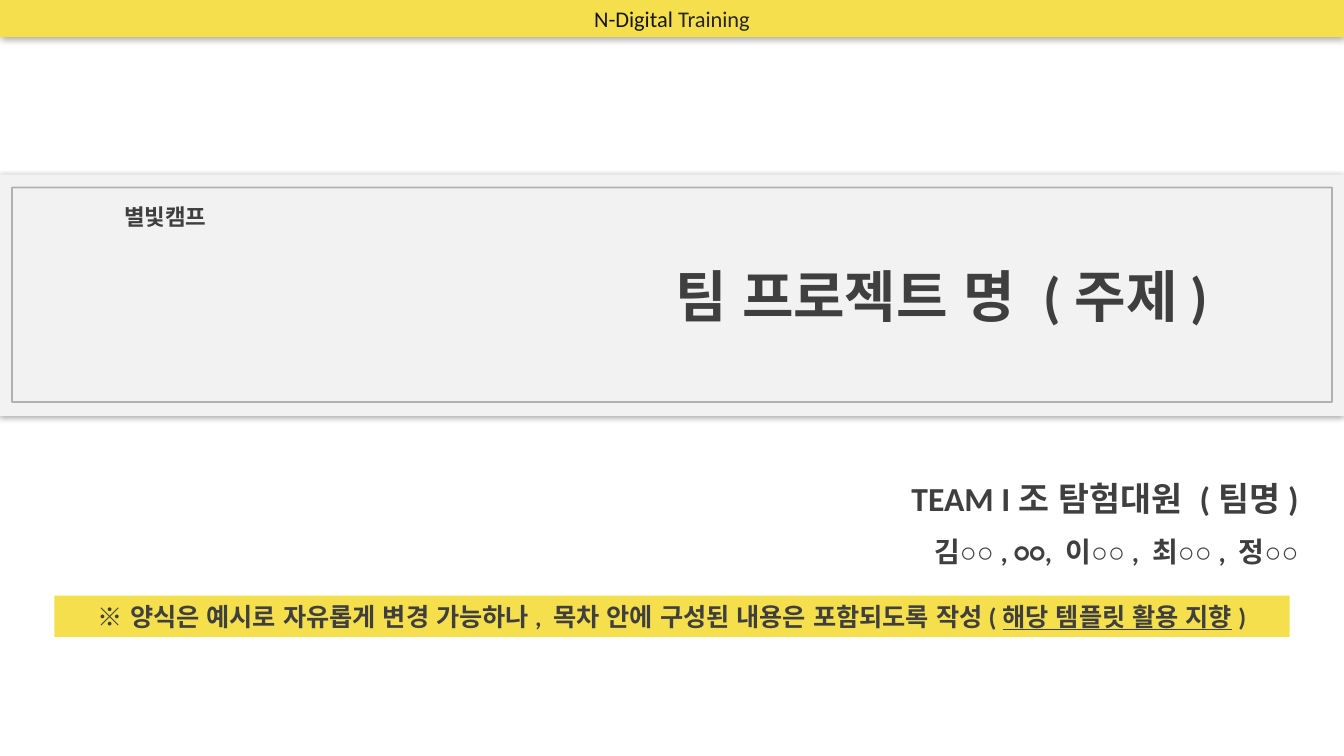
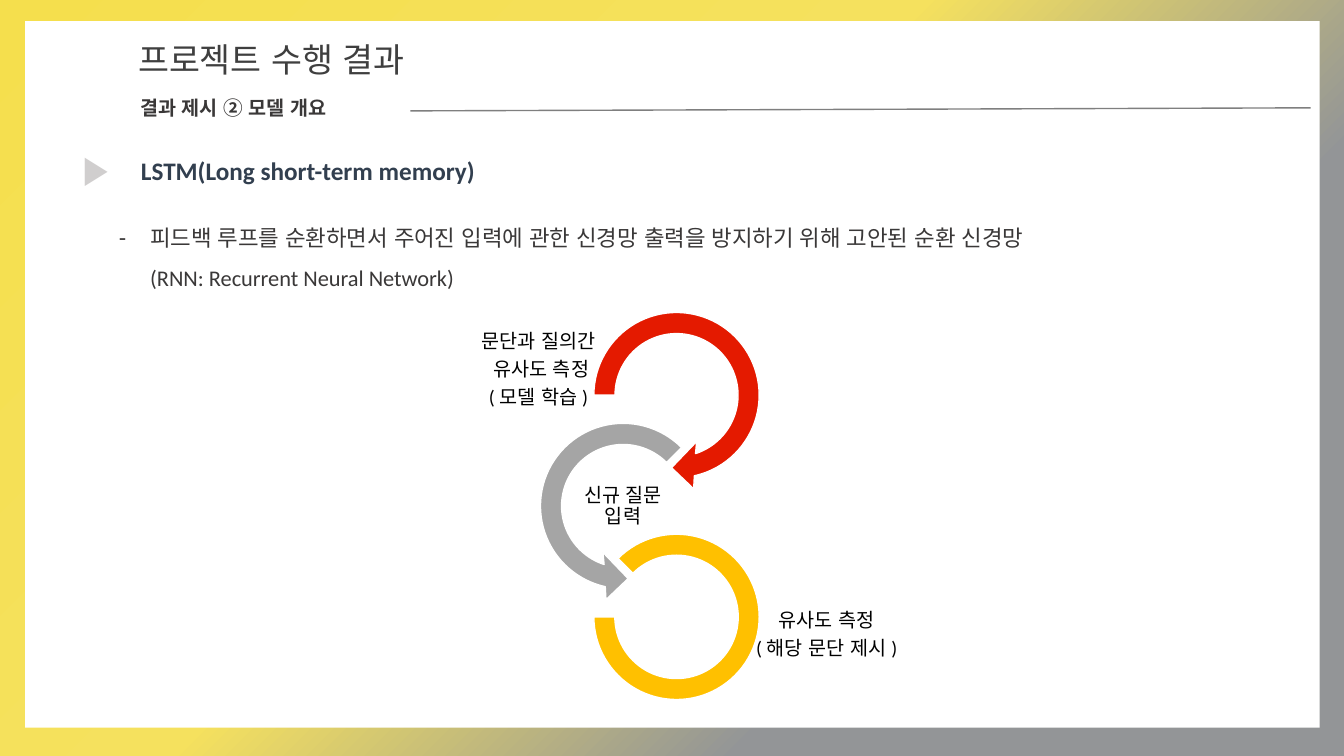
from collections import namedtuple
from math import cos, radians, sin

from lxml.etree import SubElement
from pptx import Presentation
from pptx.dml.color import RGBColor
from pptx.enum.shapes import MSO_CONNECTOR, MSO_SHAPE
from pptx.enum.text import MSO_ANCHOR, MSO_AUTO_SIZE, PP_ALIGN
from pptx.oxml.ns import qn
from pptx.util import Inches, Pt

Box = namedtuple("Box", "left top width height")

COLORS = {
    "yellow": "F5DF4D",
    "pale_yellow": "F5E15E",
    "gray": "939597",
    "band": "F2F2F2",
    "white": "FFFFFF",
    "black": "000000",
    "text": "3F3F3F",
    "body": "3A3838",
    "heading": "323F4F",
    "program": "171616",
    "training": "262626",
    "marker": "D0CECE",
    "rule": "7F7F7F",
    "red": "E41A00",
    "silver": "A5A5A5",
    "gold": "FFC000",
}
KOREAN_FONT = "Noto Sans CJK KR"
EAST_ASIAN_FONTS = {"Calibri": "Arial", "Arial": "Arial", KOREAN_FONT: KOREAN_FONT}
PAGE = Box(0, 0, 13.33, 7.5)
RING_RADIUS = 0.82
RING_THICKNESS = 0.21
ARROW_REACH = 0.955
ARROW_HEAD = [(0.17, 0.93), (-0.05, 0.72), (0.2, 0.46)]


def rgb(color):
    return RGBColor.from_string(COLORS[color])


def inside(box, left, top, width, height):
    return Box(box.left + left, box.top + top, width, height)


def lengths(box):
    return [Inches(value) for value in box]


def set_alpha(color_element, percent):
    SubElement(color_element, qn("a:alpha"), val=str(percent * 1000))


def write(shape, *paragraphs, size=14, color="text", font="Calibri", bold=False,
          align=PP_ALIGN.LEFT, anchor=MSO_ANCHOR.TOP, spacing=1.0, before=0,
          margins=(0.1, 0.05)):
    frame = shape.text_frame
    frame.word_wrap = True
    frame.auto_size = MSO_AUTO_SIZE.NONE
    frame.vertical_anchor = anchor
    frame.margin_left = frame.margin_right = Inches(margins[0])
    frame.margin_top = frame.margin_bottom = Inches(margins[1])
    for index, runs in enumerate(paragraphs):
        paragraph = frame.add_paragraph() if index else frame.paragraphs[0]
        paragraph.alignment = align
        paragraph.line_spacing = spacing
        paragraph.space_before = Pt(before if index else 0)
        for text, style in [(runs, {})] if isinstance(runs, str) else runs:
            run = paragraph.add_run()
            run.text = text
            run.font.name = font
            run.font.size = Pt(style.get("size", size))
            run.font.bold = bold
            run.font.underline = style.get("underline", False)
            run.font.color.rgb = rgb(style.get("color", color))
            SubElement(run.font._element, qn("a:ea"), typeface=EAST_ASIAN_FONTS[font])
    return shape


def text_box(slide, box, *paragraphs, **style):
    return write(slide.shapes.add_textbox(*lengths(box)), *paragraphs, **style)


def fill_placeholder(placeholder, box, *paragraphs, **style):
    placeholder.left, placeholder.top, placeholder.width, placeholder.height = lengths(box)
    placeholder.element.getparent().append(placeholder.element)
    return write(placeholder, *paragraphs, **style)


def paint(shape, fill=None, line=None, width=1):
    shape.shadow.inherit = False
    if fill:
        shape.fill.solid()
        shape.fill.fore_color.rgb = rgb(fill)
    else:
        shape.fill.background()
    if line:
        shape.line.color.rgb = rgb(line)
        shape.line.width = Pt(width)
    else:
        shape.line.fill.background()
    return shape


def rectangle(slide, box, **style):
    return paint(slide.shapes.add_shape(MSO_SHAPE.RECTANGLE, *lengths(box)), **style)


def band(slide, box, fill):
    shape = rectangle(slide, box, fill=fill)
    effects = shape.element.spPr.find(qn("a:effectLst"))
    shadow = SubElement(effects, qn("a:outerShdw"), blurRad=str(Pt(5)), dist="0", dir="0")
    set_alpha(SubElement(shadow, qn("a:srgbClr"), val=COLORS["black"]), 40)
    return shape


def program_bar(slide, box):
    write(band(slide, box, "yellow"),
          [("N-Digital ", {"color": "program"}), ("Training", {"color": "training"})],
          size=16, align=PP_ALIGN.CENTER, anchor=MSO_ANCHOR.MIDDLE)


def title_band(slide, box):
    band(slide, box, "band")
    inset = 0.12
    outline = rectangle(slide, inside(box, inset, inset + 0.01, box.width - 2 * inset, 2.13),
                        line="gray", width=1.25)
    set_alpha(outline.element.spPr.find(".//" + qn("a:ln") + "//" + qn("a:srgbClr")), 70)
    text_box(slide, inside(box, 0.2, 0.24, 2.88, 0.37), "별빛캠프", size=16,
             font=KOREAN_FONT, bold=True, align=PP_ALIGN.CENTER)
    fill_placeholder(slide.shapes.title, inside(box, 5.64, 0.86, 7.4, 0.67),
                     "팀 프로젝트 명 (주제)", size=40, bold=True,
                     align=PP_ALIGN.CENTER, margins=(0.1, 0))


def team_block(slide, box):
    fill_placeholder(slide.placeholders[1], box,
                     [("TEAM I조 탐험대원 (팀명)", {"size": 24})],
                     "김○○, ○○, 이○○, 최○○, 정○○",
                     size=20, bold=True, align=PP_ALIGN.RIGHT, spacing=1.5, margins=(0.1, 0))


def format_notice(slide, box):
    write(rectangle(slide, box, fill="yellow"),
          [("※ 양식은 예시로 자유롭게 변경 가능하나, 목차 안에 구성된 내용은 포함되도록 작성(", {}),
           ("해당 템플릿 활용 지향", {"underline": True}), (")", {})],
          size=18, bold=True, align=PP_ALIGN.CENTER, anchor=MSO_ANCHOR.MIDDLE)


def cover_slide(deck, page):
    slide = deck.slides.add_slide(deck.slide_layouts[0])
    program_bar(slide, inside(page, 0, 0, page.width, 0.37))
    title_band(slide, inside(page, 0, 1.73, page.width, 2.4))
    team_block(slide, inside(page, 7.34, 4.54, 5.64, 0.94))
    format_notice(slide, inside(page, 0.54, 5.91, 12.25, 0.41))


def gradient_background(slide):
    slide.background.fill.gradient()
    gradient = slide.element.find(".//" + qn("a:gradFill"))
    stops = gradient.find(qn("a:gsLst"))
    for stop in list(stops):
        stops.remove(stop)
    for position, color, alpha in [(0, "yellow", 100), (44, "pale_yellow", 70),
                                   (71, "gray", 70), (100, "gray", 100)]:
        stop = SubElement(stops, qn("a:gs"), pos=str(position * 1000))
        set_alpha(SubElement(stop, qn("a:srgbClr"), val=COLORS[color]), alpha)
    gradient.find(qn("a:lin")).set("ang", str(45 * 60000))


def page_header(slide, box):
    fill_placeholder(slide.shapes.title, inside(box, 0, 0, 3.23, 0.5),
                     "프로젝트 수행 결과", size=24, font="Arial")
    text_box(slide, inside(box, 0.02, 0.56, 3.05, 0.34), "결과 제시 ② 모델 개요",
             color="body", bold=True)
    rule = slide.shapes.add_connector(
        MSO_CONNECTOR.STRAIGHT, Inches(box.left + 2.8), Inches(box.top + 0.76),
        Inches(box.left + box.width), Inches(box.top + 0.73))
    rule.line.color.rgb = rgb("rule")
    rule.line.width = Pt(1)
    SubElement(rule.element.spPr, qn("a:effectLst"))


def model_summary(slide, box):
    text_box(slide, inside(box, 0, 0, 0.55, 0.57), "▶", size=28, font="Arial",
             color="marker", bold=True)
    text_box(slide, inside(box, 0.58, 0.11, 9.03, 0.67), "LSTM(Long short-term memory)",
             size=18, color="heading", bold=True)
    summary = fill_placeholder(
        slide.placeholders[1], inside(box, 0.36, 0.66, 9.41, 0.86),
        "피드백 루프를 순환하면서 주어진 입력에 관한 신경망 출력을 방지하기 위해 고안된 "
        "순환 신경망 (RNN: Recurrent Neural Network)",
        size=16, color="body", spacing=1.5)
    properties = summary.text_frame.paragraphs[0]._p.get_or_add_pPr()
    properties.set("marL", str(Inches(0.31)))
    properties.set("indent", str(-Inches(0.31)))
    bullet_color = SubElement(properties, qn("a:buClr"))
    SubElement(bullet_color, qn("a:srgbClr"), val=COLORS["body"])
    SubElement(properties, qn("a:buChar"), char="-")


def ring_arrow(slide, center_x, center_y, start, color, side):
    left, top = Inches(center_x - ARROW_REACH), Inches(center_y - ARROW_REACH)
    size = Inches(2 * ARROW_REACH)
    builder = slide.shapes.build_freeform(left, top)
    builder.add_line_segments([(left + size, top), (left + size, top + size)], close=True)
    arrow = paint(builder.convert_to_shape(), fill=color, line="white")
    outline = arrow.element.find(".//" + qn("a:pathLst"))[0]
    for segment in list(outline):
        outline.remove(segment)

    def go(kind, x, y):
        SubElement(SubElement(outline, qn(kind)), qn("a:pt"),
                   x=str(Inches(ARROW_REACH + side * x)), y=str(Inches(ARROW_REACH + y)))

    def sweep(radius, begin, end):
        first = begin if side > 0 else 180 - begin
        SubElement(outline, qn("a:arcTo"), wR=str(Inches(radius)), hR=str(Inches(radius)),
                   stAng=str(int(first % 360 * 60000)),
                   swAng=str(int(side * (end - begin) * 60000)))

    inner_radius = RING_RADIUS - RING_THICKNESS
    angle = radians(start)
    go("a:moveTo", RING_RADIUS * cos(angle), RING_RADIUS * sin(angle))
    sweep(RING_RADIUS, start, 437.5)
    for x, y in ARROW_HEAD:
        go("a:lnTo", x, y)
    go("a:lnTo", inner_radius * cos(radians(72)), inner_radius * sin(radians(72)))
    sweep(inner_radius, 432, start)
    SubElement(outline, qn("a:close"))


def similarity_cycle(slide, box):
    right_x = box.left + box.width - RING_RADIUS
    left_x = box.left + RING_RADIUS
    first_y = box.top + RING_RADIUS
    step = 1.1
    ring_arrow(slide, right_x, first_y, 180, "red", 1)
    ring_arrow(slide, left_x, first_y + step, 225, "silver", -1)
    last_ring = paint(slide.shapes.add_shape(
        MSO_SHAPE.BLOCK_ARC,
        *lengths(Box(right_x - RING_RADIUS, box.top + 2 * step,
                     2 * RING_RADIUS, 2 * RING_RADIUS))), fill="gold", line="white")
    for index, value in enumerate([135, 108, 0.127]):
        last_ring.adjustments[index] = value
    labels = [
        (-1.53, 0.31, 3.02, ["문단과 질의간", " 유사도 측정", "(모델 학습)"]),
        (0.29, 1.66, 1.06, ["신규 질문 입력"]),
        (1.7, 2.94, 2.28, ["유사도 측정", "(해당 문단 제시)"]),
    ]
    for left, top, width, lines in labels:
        text_box(slide, inside(box, left, top, width, 0.53), *lines, color="black",
                 align=PP_ALIGN.CENTER, anchor=MSO_ANCHOR.MIDDLE, spacing=0.9,
                 before=4.9, margins=(0.01, 0.01))


def model_slide(deck, page):
    slide = deck.slides.add_slide(deck.slide_layouts[1])
    gradient_background(slide)
    rectangle(slide, inside(page, 0.25, 0.21, 12.84, 7.01), fill="white")
    page_header(slide, inside(page, 1.27, 0.34, 11.73, 0.9))
    model_summary(slide, inside(page, 0.72, 1.38, 9.77, 1.52))
    similarity_cycle(slide, inside(page, 5.36, 3.1, 2.17, 3.84))


deck = Presentation()
deck.slide_width = Inches(PAGE.width)
deck.slide_height = Inches(PAGE.height)
cover_slide(deck, PAGE)
model_slide(deck, PAGE)
deck.save("out.pptx")
